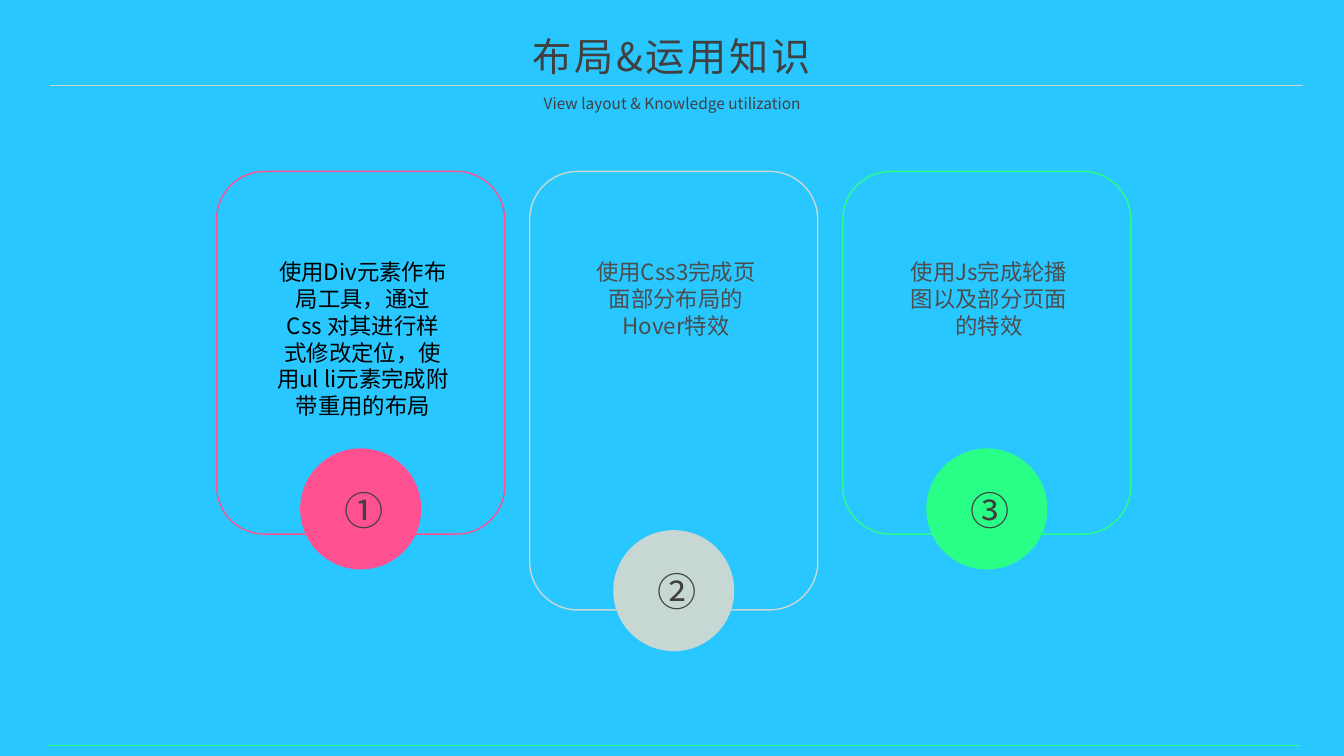
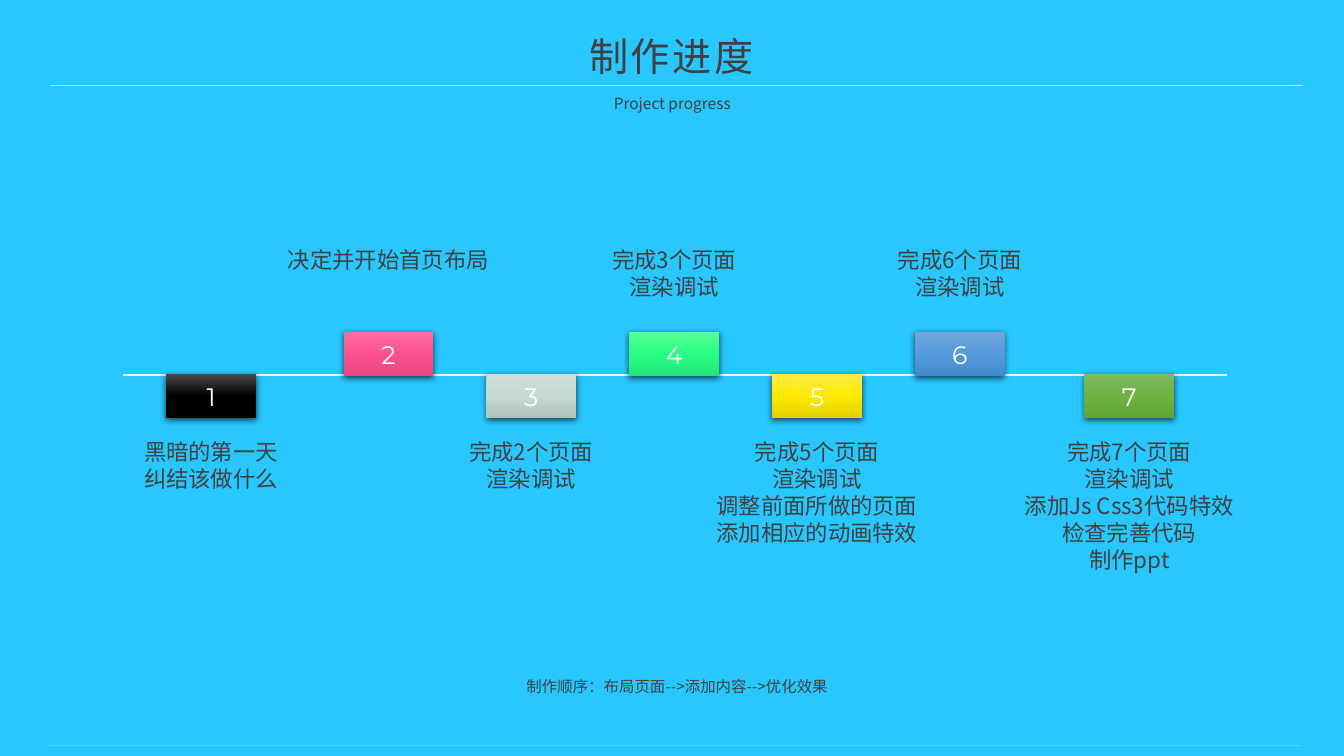
from copy import deepcopy

from lxml import etree
from pptx import Presentation
from pptx.dml.color import RGBColor
from pptx.enum.shapes import MSO_CONNECTOR, MSO_SHAPE
from pptx.enum.text import MSO_ANCHOR, MSO_AUTO_SIZE, PP_ALIGN
from pptx.oxml.ns import qn
from pptx.util import Cm, Pt

COLORS = {
    "sky": "29C7FF", "pink": "FF5192", "mist": "C7D8D4", "green": "29FF86",
    "dark": "404040", "gray": "4D4D4D", "black": "000000",
    "white": "FFFFFF", "line": "F2F2F2",
}
# Top, middle and bottom colour of each timeline tile
GRADIENTS = {
    "black": ("4B4B4B", "000000", "000000"),
    "pink": ("FF6D9F", "FF5192", "E54681"),
    "mist": ("CFDEDA", "C6D9D4", "AFC2BD"),
    "green": ("55FF94", "29FF86", "22E577"),
    "yellow": ("FFEB4B", "FFE900", "E3CF00"),
    "blue": ("71A6DB", "559BDB", "448ACA"),
    "olive": ("81B861", "6FB242", "62A336"),
}
BODY_FONT = "Noto Sans CJK SC"
NUMBER_FONT = "Montserrat"


def rgb(name):
    return RGBColor.from_string(COLORS[name])


# ---- Basic parts ----

def write(sp, lines, size, color="dark", font=BODY_FONT, spacing=0, leading=None):
    """Fill a shape with centred paragraphs in one style."""
    tf = sp.text_frame
    tf.word_wrap = True
    tf.text = "\n".join(lines)
    for p in tf.paragraphs:
        p.alignment = PP_ALIGN.CENTER
        if leading:
            p.line_spacing = Pt(leading)
        p.font.size = Pt(size)
        p.font.name = font
        p.font.color.rgb = rgb(color)
        props = p._p.pPr.find(qn("a:defRPr"))
        etree.SubElement(props, qn("a:ea")).set("typeface", font)
        if spacing:
            props.set("spc", str(spacing * 100))


def add_text(s, x, y, w, h, lines, size, color="dark", leading=None):
    sp = s.shapes.add_textbox(Cm(x), Cm(y), Cm(w), Cm(h))
    write(sp, lines, size, color, leading=leading)
    sp.text_frame.auto_size = MSO_AUTO_SIZE.SHAPE_TO_FIT_TEXT


def add_body(s, x, y, w, lines, color="dark", rows=None):
    height = 0.25 + 0.68 * (rows or len(lines))
    add_text(s, x, y, w, height, lines, 16, color, leading=19.2)


def add_shape(s, kind, x, y, w, h, fill=None, outline=None):
    sp = s.shapes.add_shape(kind, Cm(x), Cm(y), Cm(w), Cm(h))
    sp.shadow.inherit = False
    if fill:
        sp.fill.solid()
        sp.fill.fore_color.rgb = rgb(fill)
    else:
        sp.fill.background()
    if outline:
        sp.line.color.rgb = rgb(outline)
        sp.line.width = Pt(1)
    else:
        sp.line.fill.background()
    return sp


def add_label(s, x, y, w, h, text):
    """Unfilled box with large, widely set text."""
    sp = add_shape(s, MSO_SHAPE.ROUNDED_RECTANGLE, x, y, w, h)
    sp.adjustments[0] = 0.09
    sp.text_frame.vertical_anchor = MSO_ANCHOR.MIDDLE
    write(sp, [text], 28, spacing=2)


def add_rule(s, x1, x2, y, color, width):
    line = s.shapes.add_connector(MSO_CONNECTOR.STRAIGHT, Cm(x1), Cm(y), Cm(x2), Cm(y))
    line.line.color.rgb = rgb(color)
    line.line.width = Pt(width)
    etree.SubElement(line._element.spPr, qn("a:effectLst"))


def add_gradient(sp, colors):
    """Vertical three-colour gradient."""
    sp.fill.gradient()
    sp.fill.gradient_angle = 270
    stop = sp._element.spPr.find(".//" + qn("a:gs"))
    stop.addnext(deepcopy(stop))
    for i, (gs, color) in enumerate(zip(sp.fill.gradient_stops, colors)):
        gs.position = i / 2
        gs.color.rgb = RGBColor.from_string(color)


def add_shadow(sp):
    effects = sp._element.spPr.find(qn("a:effectLst"))
    shadow = etree.SubElement(effects, qn("a:outerShdw"), blurRad=str(Pt(4.5)),
                              dist=str(Pt(1.5)), dir="5400000", rotWithShape="0")
    color = etree.SubElement(shadow, qn("a:srgbClr"), val=COLORS["black"])
    etree.SubElement(color, qn("a:alpha"), val="63000")


# ---- Frame shared by the slides ----

def new_slide(prs, title, subtitle):
    s = prs.slides.add_slide(prs.slide_layouts[6])
    s.background.fill.solid()
    s.background.fill.fore_color.rgb = rgb("sky")
    add_label(s, 11.35, 0.71, 11.15, 1.4, title)
    add_rule(s, 1.27, 32.84, 2.14, "mist", 0.5)
    add_text(s, 11.18, 2.24, 11.53, 0.71, [subtitle], 11)
    add_rule(s, 1.22, 32.77, 18.77, "green", 0.5)
    return s


# ---- Cards ----

def add_card(s, x, y, w, h, color, number, badge_rise, text, text_color, rows):
    add_shape(s, MSO_SHAPE.ROUNDED_RECTANGLE, x, y, w, h, outline=color)
    add_body(s, x + 1.27, y + 2.06, 4.83, [text], text_color, rows)
    # Round badge across the lower edge
    size = 3.05
    bx, by = x + (w - size) / 2, y + h - badge_rise
    add_shape(s, MSO_SHAPE.OVAL, bx, by, size, size, fill=color)
    add_label(s, bx + 0.8, by + 0.84, 1.6, 1.4, number)


def layout_slide(prs):
    s = new_slide(prs, "布局&运用知识", "View layout & Knowledge utilization")
    cards = [
        (9.14, "pink", "①", 2.16,
         "使用Div元素作布局工具，通过 Css 对其进行样式修改定位，使用ul li元素完成附带重用的布局",
         "black", 6),
        (11.05, "mist", "②", 2.01, "使用Css3完成页面部分布局的Hover特效", "gray", 3),
        (9.14, "green", "③", 2.16, "使用Js完成轮播图以及部分页面的特效", "gray", 3),
    ]
    for i, (height, *content) in enumerate(cards):
        add_card(s, 5.46 + 7.89 * i, 4.32, 7.26, height, *content)


# ---- Timeline ----

def add_step(s, x, axis_y, number, color, lines, text_w, rows):
    """Even steps stand on the axis, odd steps hang below it."""
    w, h = 2.26, 1.12
    above = number % 2 == 0
    tile_y = axis_y - 1.09 if above else axis_y - 0.03
    text_y = axis_y - 3.38 if above else axis_y + 1.47
    sp = add_shape(s, MSO_SHAPE.RECTANGLE, x, tile_y, w, h)
    add_gradient(sp, GRADIENTS[color])
    add_shadow(sp)
    sp.text_frame.vertical_anchor = MSO_ANCHOR.MIDDLE
    write(sp, [str(number)], 18, "white", NUMBER_FONT)
    add_body(s, x + (w - text_w) / 2, text_y, text_w, lines, rows=rows)


def progress_slide(prs):
    s = new_slide(prs, "制作进度", "Project progress")
    axis_y, first, pitch = 9.45, 8.66, 3.6
    add_rule(s, 3.1, 30.91, axis_y, "line", 1.75)
    debug = "渲染调试"
    steps = [
        (4.19, "black", ["黑暗的第一天", "纠结该做什么"], 5.77, 2),
        (first, "pink", ["决定并开始首页布局"], 5.77, 1),
        (first + pitch, "mist", ["完成2个页面", debug], 5.77, 2),
        (first + 2 * pitch, "green", ["完成3个页面", debug], 5.77, 2),
        (first + 3 * pitch, "yellow",
         ["完成5个页面", debug, "调整前面所做的页面添加相应的动画特效"], 5.77, 4),
        (first + 4 * pitch, "blue", ["完成6个页面", debug], 5.77, 2),
        (27.33, "olive",
         ["完成7个页面", debug, "添加Js Css3代码特效", "检查完善代码", "制作ppt"], 6.35, 5),
    ]
    for number, (x, *content) in enumerate(steps, 1):
        add_step(s, x, axis_y, number, *content)
    # Order of work
    add_text(s, 11.3, 16.94, 11.53, 0.71,
             ["制作顺序：布局页面-->添加内容-->优化效果"], 11)


def main():
    prs = Presentation()
    prs.slide_width, prs.slide_height = Cm(33.87), Cm(19.05)
    layout_slide(prs)
    progress_slide(prs)
    prs.save("out.pptx")


if __name__ == "__main__":
    main()
